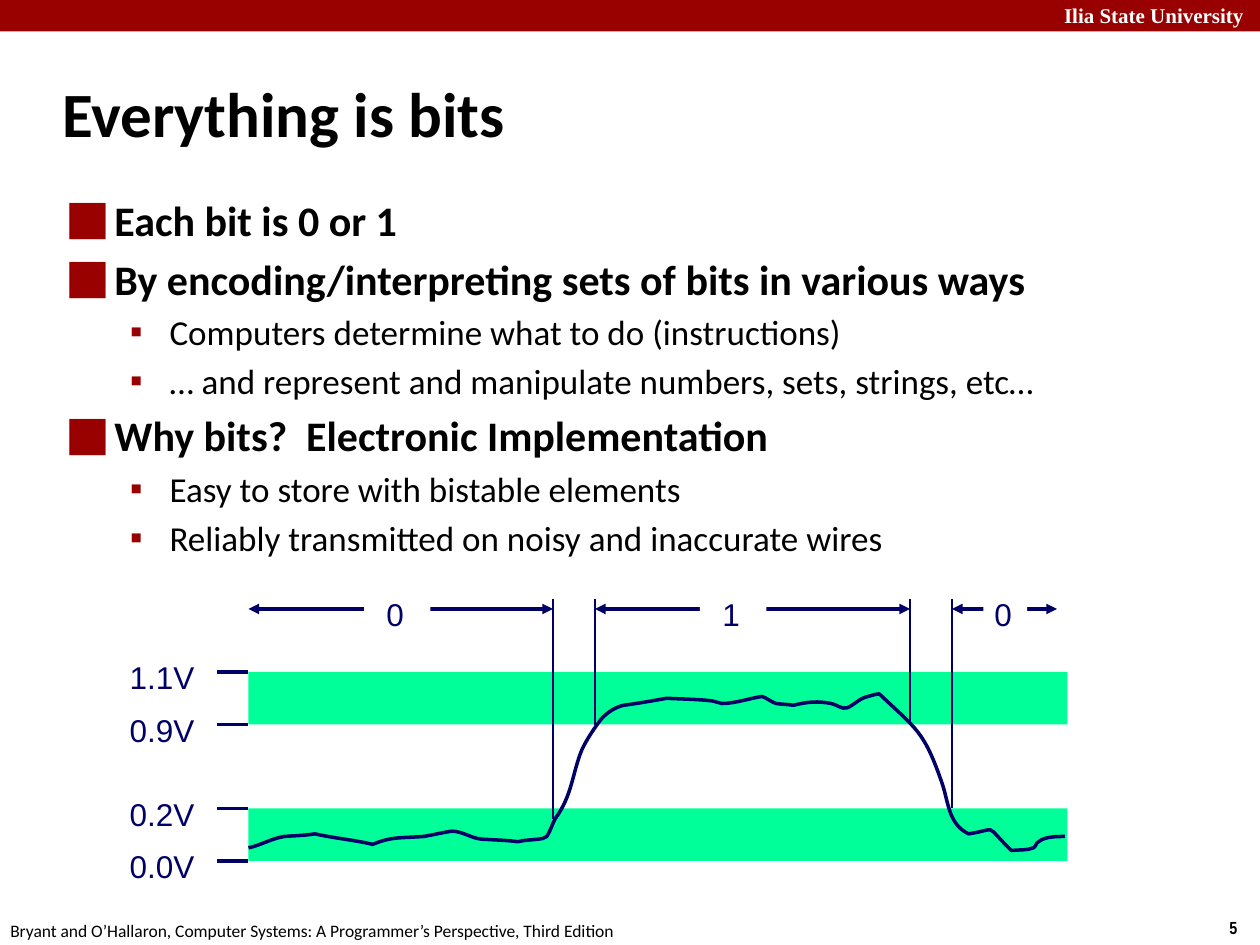
import pptx
import pptx.util
import pptx.dml.color
import pptx.enum.shapes
import pptx.enum.text
import pptx.oxml
import pptx.oxml.ns
from lxml import etree

Pt = pptx.util.Pt
RGB = pptx.dml.color.RGBColor
RED = RGB(0x99, 0, 0)
NAVY = RGB(0, 0, 0x66)
GREEN = RGB(0, 0xFF, 0x99)
WHITE = RGB(255, 255, 255)
BLACK = RGB(0, 0, 0)
BOX = pptx.enum.shapes.MSO_SHAPE.RECTANGLE
LINE = pptx.enum.shapes.MSO_CONNECTOR.STRAIGHT
ALIGN = pptx.enum.text.PP_ALIGN
qn = pptx.oxml.ns.qn

deck = pptx.Presentation()
deck.slide_width, deck.slide_height = Pt(720), Pt(540)
slide = deck.slides.add_slide(deck.slide_layouts[5])
shapes = slide.shapes


def write(par, text, size, face, color, bold=False):
    run = par.add_run()
    run.text = text
    run.font.size = Pt(size)
    run.font.name = face
    run.font.bold = bold
    run.font.color.rgb = color


def wire(x1, y1, x2, y2, width, arrows=False):
    """Draw a navy line, with arrowheads at both ends if asked."""
    line = shapes.add_connector(LINE, Pt(x1), Pt(y1), Pt(x2), Pt(y2))
    line.line.color.rgb = NAVY
    line.line.width = Pt(width)
    props = line.line._get_or_add_ln()
    if arrows:
        for end in ("a:headEnd", "a:tailEnd"):
            etree.SubElement(props, qn(end), type="triangle")
    etree.SubElement(props.getparent(), qn("a:effectLst"))


# Header bar, title and footer
bar = shapes.add_shape(BOX, 0, 0, Pt(720), Pt(18))
bar.shadow.inherit = False
bar.fill.solid()
bar.fill.fore_color.rgb = RED
bar.line.fill.background()

title = shapes.title
title.left, title.top, title.width, title.height = Pt(28.3), Pt(34), Pt(598), Pt(60)
frame = title.text_frame
frame.auto_size = pptx.enum.text.MSO_AUTO_SIZE.NONE
frame.vertical_anchor = pptx.enum.text.MSO_ANCHOR.MIDDLE
par = frame.paragraphs[0]
par.alignment = ALIGN.LEFT
write(par, "Everything is bits", 36, "Calibri", BLACK, True)

for text, x, y, w, h, size, face, color, bold in (
    ("Ilia State University", 601, -2, 124.5, 22, 12, "Times New Roman", WHITE, True),
    ("5", 695.5, 520.5, 24.5, 19.5, 10, "Arial Narrow", BLACK, True),
    ("Bryant and O’Hallaron, Computer Systems: A Programmer’s Perspective, Third Edition",
     -1.2, 522, 366, 19.5, 10, "Calibri", BLACK, False),
):
    note = shapes.add_textbox(Pt(x), Pt(y), Pt(w), Pt(h))
    write(note.text_frame.paragraphs[0], text, size, face, color, bold)

# Bulleted text: level and wording
body = shapes.add_textbox(Pt(31.3), Pt(107.5), Pt(622), Pt(391.5)).text_frame
body.word_wrap = True
points = (
    (0, "Each bit is 0 or 1"),
    (0, "By encoding/interpreting sets of bits in various ways"),
    (1, "Computers determine what to do (instructions)"),
    (1, "… and represent and manipulate numbers, sets, strings, etc…"),
    (0, "Why bits?  Electronic Implementation"),
    (1, "Easy to store with bistable elements"),
    (1, "Reliably transmitted on noisy and inaccurate wires"),
)
styles = ((24, 27, 27, "⬛", 4.8), (20, 58.5, 22.5, "▪", 4))
for i, (level, text) in enumerate(points):
    size, margin, hang, mark, gap = styles[level]
    par = body.paragraphs[0] if i == 0 else body.add_paragraph()
    par.level = level
    props = par._p.get_or_add_pPr()
    props.set("marL", str(Pt(margin)))
    props.set("indent", str(-Pt(hang)))
    tint = etree.SubElement(props, qn("a:buClr"))
    etree.SubElement(tint, qn("a:srgbClr"), val=str(RED))
    etree.SubElement(props, qn("a:buFont"), typeface="Calibri")
    etree.SubElement(props, qn("a:buChar"), char=mark)
    if i:
        par.space_before = Pt(gap)
    write(par, text, size, "Calibri", BLACK, level == 0)

# Voltage bands
for y in (462, 384):
    band = shapes.add_shape(BOX, Pt(142), Pt(y), Pt(468), Pt(30))
    band.shadow.inherit = False
    band.fill.solid()
    band.fill.fore_color.rgb = GREEN
    band.line.fill.background()

# Signal: each row holds two control points and an end point of a Bezier curve
curves = (
    (149, 483, 155.5, 479, 162.5, 478), (168.5, 477.5, 174, 477.5, 180, 476.5),
    (191, 479, 202.5, 480, 213, 482.5), (224, 478, 228, 479, 242, 478),
    (245.5, 477.5, 256.5, 475, 258.5, 475), (264, 475, 269.5, 479, 275, 479.5),
    (282, 480, 288.5, 480, 296, 481), (299.5, 480, 304, 480, 308, 479.5),
    (309.5, 479.5, 311, 479, 312.5, 478), (314.5, 475, 315.5, 471, 317.5, 467.5),
    (327, 454.5, 327, 442, 332.5, 428.5), (335, 423, 340, 415.5, 343.5, 411),
    (346.5, 407.5, 351.5, 404, 356.5, 403), (364.5, 402, 381, 399, 381, 399),
    (389.5, 399.5, 398, 399.5, 407, 400.5), (409, 400.5, 410.5, 402, 412.5, 402),
    (420, 402, 428.5, 399, 435.5, 398), (438.5, 399, 440.5, 401, 443.5, 402),
    (447, 402.5, 450, 402.5, 453.5, 403), (461.5, 401, 467.5, 400.5, 475, 402),
    (478, 402.5, 481, 405.5, 484, 404.5), (488, 403, 491, 399, 496, 398),
    (498, 397.5, 500.5, 396.5, 502.5, 396.5), (524, 417, 528, 417.5, 538.5, 448),
    (542, 458.5, 542, 471, 553.5, 476.5), (571, 474, 561.5, 470, 578, 486),
    (582.5, 485.5, 587, 486, 590.5, 484.5), (592, 484, 592, 481.5, 593.5, 481),
    (597, 478, 604, 478, 608.5, 478),
)
pen = shapes.build_freeform(Pt(142), Pt(484.5))
for row in curves:
    spots = [(Pt(x), Pt(y)) for x, y in zip(row[::2], row[1::2])]
    pen.add_line_segments(spots, close=False)
signal = pen.convert_to_shape()
signal.shadow.inherit = False
signal.fill.background()
signal.line.color.rgb = NAVY
signal.line.width = Pt(2)

# Join every three straight segments into one cubic curve
legs = list(signal._element.iter(qn("a:lnTo")))
for i in range(0, len(legs), 3):
    curve = etree.Element(qn("a:cubicBezTo"))
    legs[i].addprevious(curve)
    for leg in legs[i:i + 3]:
        curve.append(leg[0])
        leg.getparent().remove(leg)

# Voltage ticks and labels
for text, y in (("0.0V", 492), ("0.2V", 462), ("0.9V", 414), ("1.1V", 384)):
    wire(142, y, 124, y, 2)
    label = shapes.add_textbox(Pt(69.6), Pt(y - 12.3), Pt(49.5), Pt(30)).text_frame
    label.margin_left = label.margin_top = label.margin_bottom = Pt(4.5)
    write(label.paragraphs[0], text, 18, "Arial", NAVY)

# Bit spans, their borders and their values
for left, right in ((142, 316), (340, 520), (544, 604)):
    wire(left, 348, right, 348, 2, True)
for x, y in ((316, 468), (340, 414), (520, 414), (544, 462)):
    wire(x, 342, x, y, 1)
for text, x, w in (("0", 208, 38), ("1", 400, 38), ("0", 562, 25)):
    bit = shapes.add_shape(BOX, Pt(x), Pt(335.7), Pt(w), Pt(30))
    bit.shadow.inherit = False
    bit.fill.solid()
    bit.fill.fore_color.rgb = WHITE
    bit.line.fill.background()
    frame = bit.text_frame
    frame.margin_left = frame.margin_top = frame.margin_bottom = Pt(4.5)
    frame.vertical_anchor = pptx.enum.text.MSO_ANCHOR.TOP
    par = frame.paragraphs[0]
    par.alignment = ALIGN.CENTER
    write(par, text, 18, "Arial", NAVY)

deck.save("out.pptx")
